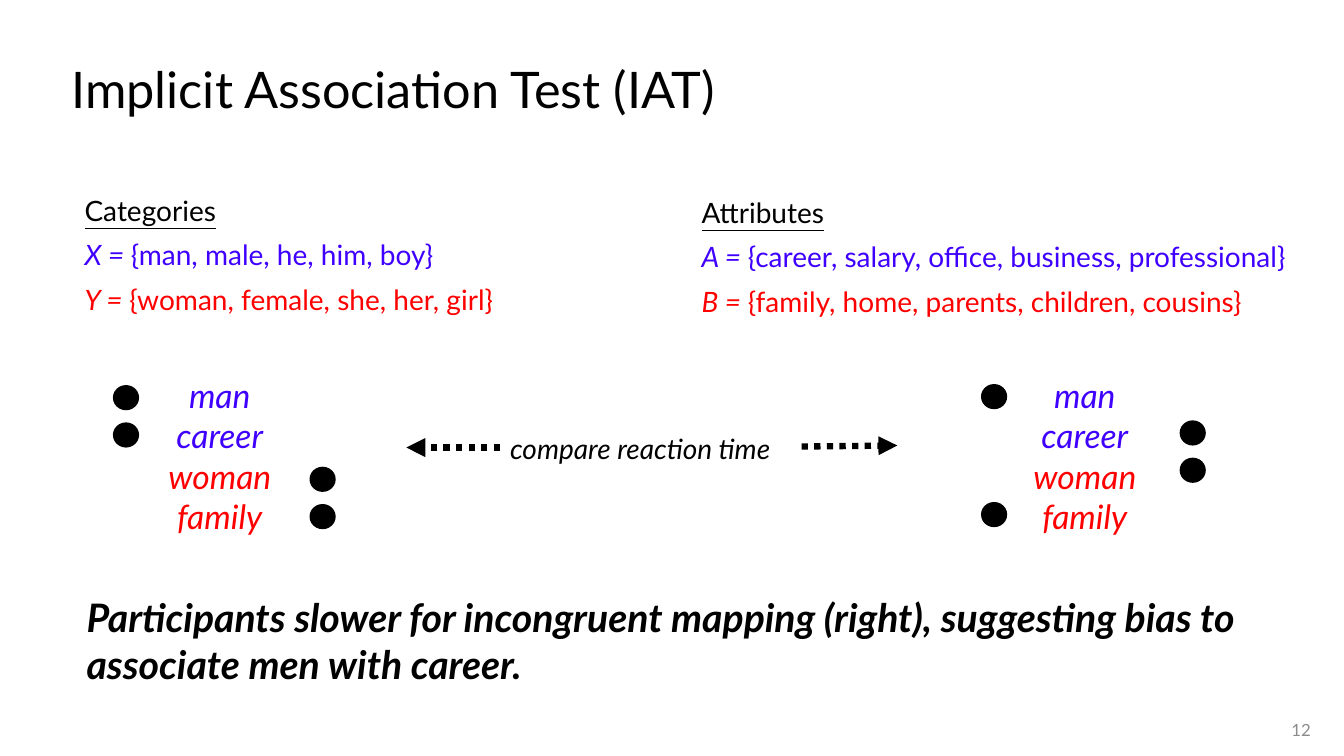
from lxml.etree import SubElement
from pptx import Presentation
from pptx.dml.color import RGBColor
from pptx.enum.dml import MSO_LINE
from pptx.enum.shapes import MSO_CONNECTOR, MSO_SHAPE
from pptx.enum.text import MSO_ANCHOR, MSO_AUTO_SIZE, PP_ALIGN
from pptx.oxml.ns import qn
from pptx.util import Inches, Pt

BLACK = RGBColor(0x00, 0x00, 0x00)
BLUE = RGBColor(0x3F, 0x00, 0xFF)
RED = RGBColor(0xFF, 0x00, 0x00)
GRAY = RGBColor(0x8C, 0x8C, 0x8C)

STIMULI = [("man", BLUE), ("career", BLUE), ("woman", RED), ("family", RED)]
DOT_WIDTH, DOT_HEIGHT = 0.26, 0.25


def write_run(paragraph, text, size, color=BLACK, **formats):
    run = paragraph.add_run()
    run.text = text
    run.font.color.rgb = color
    for name, value in {"name": "Lato", "size": Pt(size), **formats}.items():
        setattr(run.font, name, value)


def write_paragraphs(frame, paragraphs, size, align=PP_ALIGN.LEFT, spacing=1.0, before=0):
    frame.word_wrap = True
    for index, runs in enumerate(paragraphs):
        paragraph = frame.add_paragraph() if index else frame.paragraphs[0]
        layout = {
            "alignment": align,
            "line_spacing": spacing,
            "space_before": Pt(before if index else 0),
        }
        for name, value in layout.items():
            setattr(paragraph, name, value)
        for text, formats in runs:
            write_run(paragraph, text, size, **formats)


def add_text(slide, box, paragraphs, size, anchor=MSO_ANCHOR.TOP, **layout):
    frame = slide.shapes.add_textbox(*map(Inches, box)).text_frame
    frame.vertical_anchor = anchor
    write_paragraphs(frame, paragraphs, size, **layout)


def add_title(slide, box, text):
    title = slide.shapes.title
    for name, value in zip(("left", "top", "width", "height"), box):
        setattr(title, name, Inches(value))
    frame = title.text_frame
    frame.auto_size = MSO_AUTO_SIZE.NONE
    frame.vertical_anchor = MSO_ANCHOR.MIDDLE
    write_paragraphs(frame, [[(text, {})]], 36, spacing=0.9)


def add_word_sets(slide, box, heading, word_sets):
    paragraphs = [[(heading, {"underline": True})]]
    for symbol, words, color in word_sets:
        paragraphs.append([
            (f"{symbol} = ", {"color": color, "italic": True}),
            (f"{{{words}}}", {"color": color}),
        ])
    add_text(slide, box, paragraphs, 20, spacing=0.9, before=10)


def add_mapping(slide, left, dots):
    words = [[(word, {"color": color, "italic": True})] for word, color in STIMULI]
    add_text(slide, (left, 3.67, 1.3, 1.72), words, 24, align=PP_ALIGN.CENTER)
    for x, y in dots:
        dot = slide.shapes.add_shape(
            MSO_SHAPE.OVAL, *map(Inches, (x, y, DOT_WIDTH, DOT_HEIGHT)))
        dot.shadow.inherit = False
        dot.fill.solid()
        dot.fill.fore_color.rgb = BLACK
        dot.line.fill.background()


def add_dotted_arrow(slide, start, end):
    arrow = slide.shapes.add_connector(
        MSO_CONNECTOR.STRAIGHT, *map(Inches, (*start, *end)))
    arrow.line.color.rgb = BLACK
    arrow.line.width = Pt(4.5)
    arrow.line.dash_style = MSO_LINE.ROUND_DOT
    SubElement(arrow.line._get_or_add_ln(), qn("a:tailEnd"), type="triangle")
    SubElement(arrow._element.spPr, qn("a:effectLst"))


def main():
    deck = Presentation()
    deck.slide_width, deck.slide_height = Inches(13.33), Inches(7.5)
    slide = deck.slides.add_slide(deck.slide_layouts[5])

    add_title(slide, (0.61, 0.19, 11.5, 1.45), "Implicit Association Test (IAT)")
    add_word_sets(slide, (0.74, 1.91, 5.93, 1.57), "Categories", [
        ("X", "man, male, he, him, boy", BLUE),
        ("Y", "woman, female, she, her, girl", RED),
    ])
    add_word_sets(slide, (6.86, 1.93, 6.34, 1.69), "Attributes", [
        ("A", "career, salary, office, business, professional", BLUE),
        ("B", "family, home, parents, children, cousins", RED),
    ])

    add_mapping(slide, 1.53, [(1.12, 3.82), (1.12, 4.19), (3.07, 4.63), (3.07, 5.0)])
    add_mapping(slide, 10.11, [(9.73, 3.81), (11.7, 4.17), (11.7, 4.54), (9.73, 4.98)])

    add_text(slide, (4.96, 4.23, 3.02, 0.44),
             [[("compare reaction time", {"italic": True})]], 20)
    add_dotted_arrow(slide, (4.96, 4.44), (4.03, 4.44))
    add_dotted_arrow(slide, (7.95, 4.43), (8.9, 4.42))

    conclusion = ("Participants slower for incongruent mapping (right), "
                  "suggesting bias to associate men with career.")
    add_text(slide, (0.76, 5.84, 11.89, 1.04),
             [[(conclusion, {"bold": True, "italic": True})]], 28)
    add_text(slide, (10.1, 7.04, 3, 0.4), [[("12", {"color": GRAY})]], 12,
             anchor=MSO_ANCHOR.MIDDLE, align=PP_ALIGN.RIGHT)
    deck.save("out.pptx")


if __name__ == "__main__":
    main()
